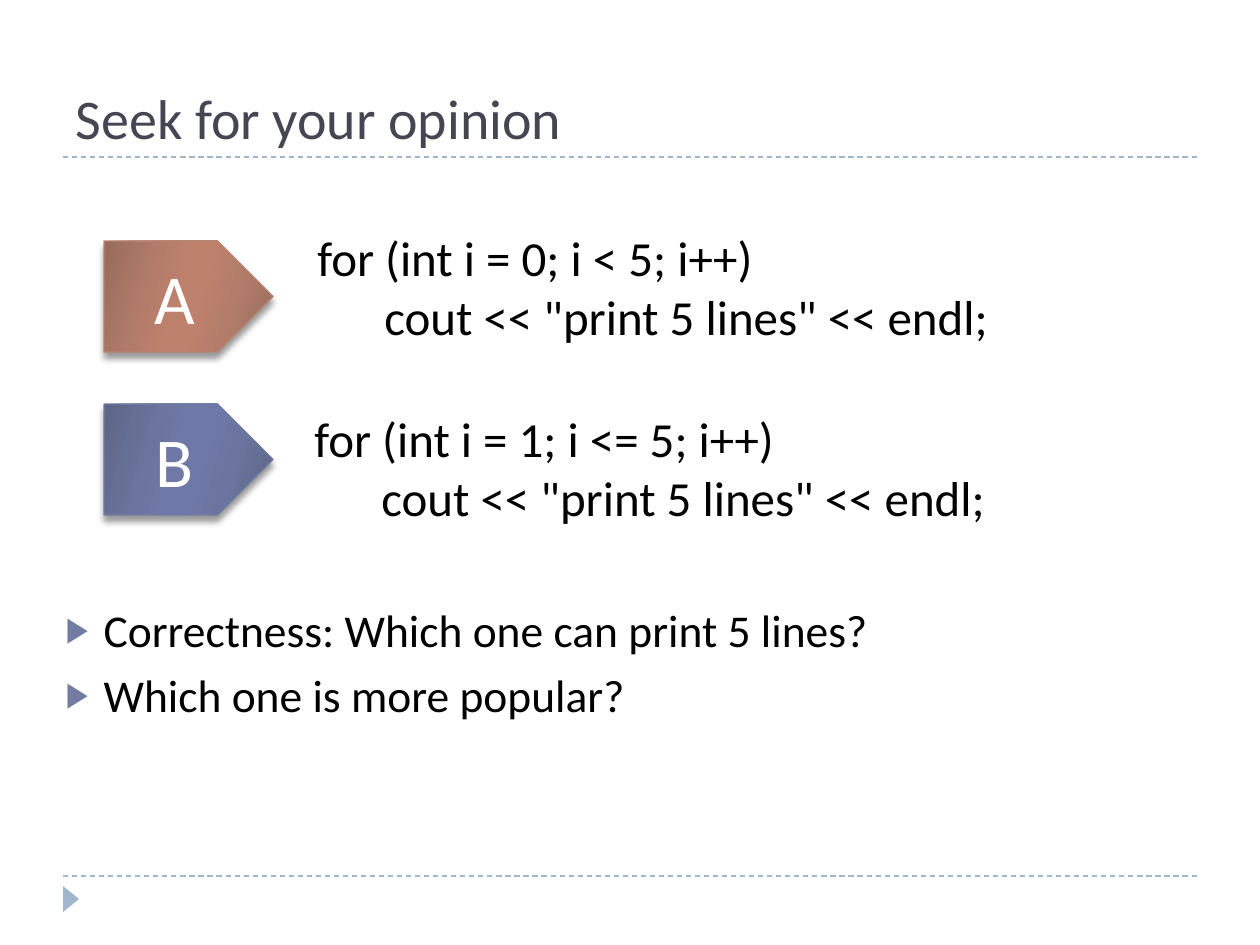
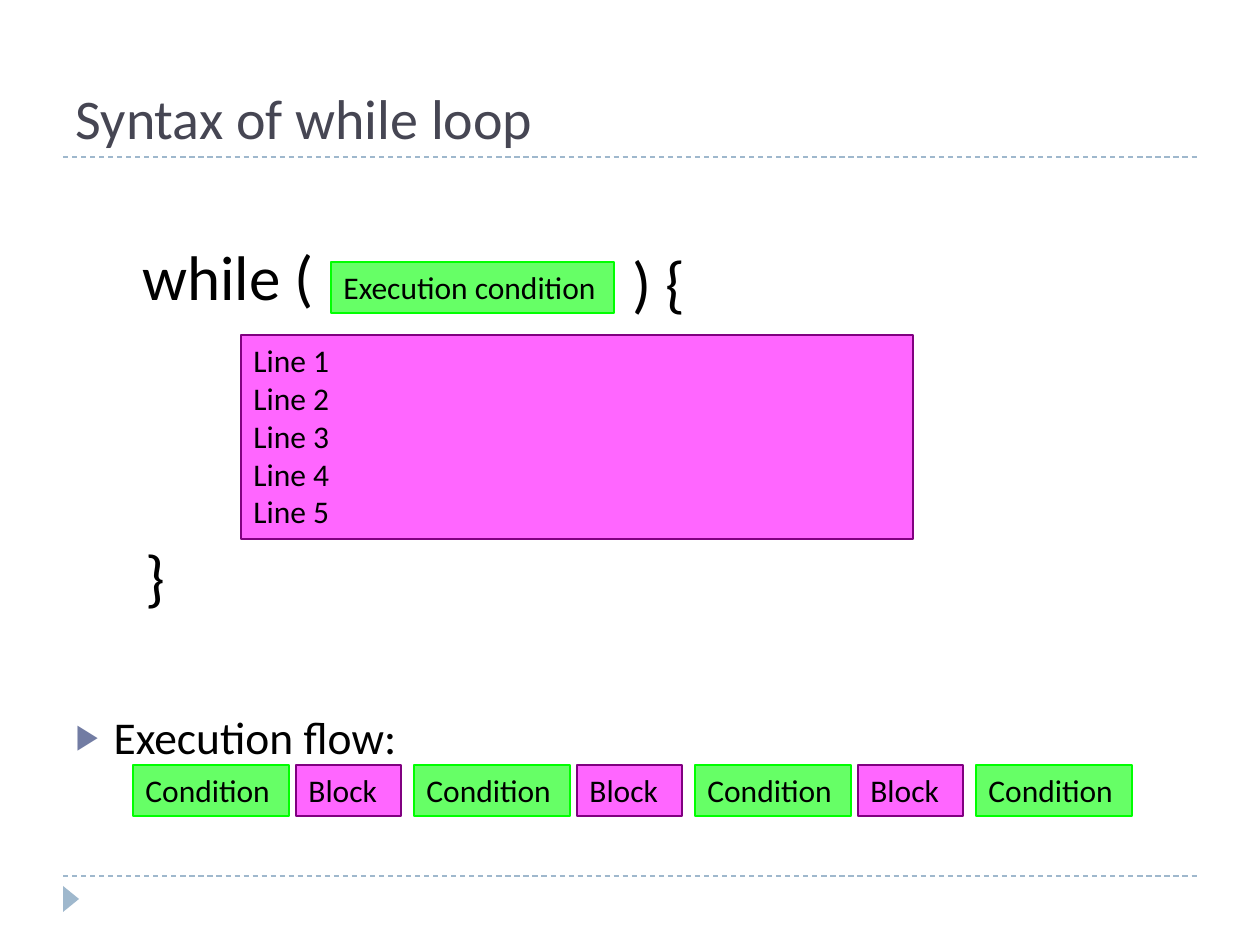
from lxml import etree
from pptx import Presentation
from pptx.dml.color import RGBColor
from pptx.enum.dml import MSO_LINE
from pptx.enum.shapes import MSO_CONNECTOR, MSO_SHAPE
from pptx.enum.text import MSO_ANCHOR, MSO_AUTO_SIZE, PP_ALIGN
from pptx.oxml.ns import qn
from pptx.util import Pt

STRAIGHT = MSO_CONNECTOR.STRAIGHT
DASH = MSO_LINE.DASH
RECTANGLE, PENTAGON = MSO_SHAPE.RECTANGLE, MSO_SHAPE.PENTAGON
TRIANGLE = MSO_SHAPE.ISOSCELES_TRIANGLE
TOP, MIDDLE, BOTTOM = MSO_ANCHOR.TOP, MSO_ANCHOR.MIDDLE, MSO_ANCHOR.BOTTOM
LEFT, CENTER = PP_ALIGN.LEFT, PP_ALIGN.CENTER
NO_FIT = MSO_AUTO_SIZE.NONE

FONT = "Calibri"
BLACK = RGBColor(0x00, 0x00, 0x00)
WHITE = RGBColor(0xFF, 0xFF, 0xFF)
TITLE_GRAY = RGBColor(0x46, 0x46, 0x53)
RULE_BLUE = RGBColor(0x9F, 0xB8, 0xCD)
BULLET_BLUE = RGBColor(0x72, 0x7C, 0xA3)
CLAY_LINE = RGBColor(0xB8, 0x84, 0x72)
CLAY = (RGBColor(0x97, 0x6C, 0x5D), RGBColor(0xB3, 0x7C, 0x6A),
        RGBColor(0xBE, 0x81, 0x6C))
INDIGO = (RGBColor(0x5D, 0x65, 0x85), RGBColor(0x6B, 0x75, 0x9E),
          RGBColor(0x6E, 0x79, 0xA7))
GREEN = RGBColor(0x66, 0xFF, 0x66)
GREEN_LINE = RGBColor(0x00, 0xFF, 0x00)
PINK = RGBColor(0xFF, 0x66, 0xFF)
PURPLE_LINE = RGBColor(0x80, 0x00, 0x80)
CONDITION_STYLE = (GREEN, GREEN_LINE)
BLOCK_STYLE = (PINK, PURPLE_LINE)

# Edge, inner and centre tone of a mirrored gradient, by position in percent
GRADIENT_STOPS = ((0, 0), (30, 1), (45, 2), (55, 2), (73, 1), (100, 0))


def px(pixels):
    return round(pixels * 914400 / 126)


def box(left, top, width, height):
    return px(left), px(top), px(width), px(height)


def sub(parent, tag, **attributes):
    return etree.SubElement(parent, qn(tag), attributes)


def place(shape, left, top, width, height):
    shape.left, shape.top, shape.width, shape.height = box(left, top, width, height)


def write(shape, lines, size, color=BLACK, align=LEFT, anchor=TOP):
    """Write one paragraph per line and return the paragraphs."""
    frame = shape.text_frame
    frame.word_wrap = True
    frame.auto_size = NO_FIT
    frame.vertical_anchor = anchor
    for index, line in enumerate(lines):
        paragraph = frame.add_paragraph() if index else frame.paragraphs[0]
        paragraph.alignment = align
        run = paragraph.add_run()
        run.text = line
        run.font.name = FONT
        run.font.size = Pt(size)
        run.font.color.rgb = color
    return frame.paragraphs


def add_rule(slide, y):
    rule = slide.shapes.add_connector(STRAIGHT, px(63), px(y), px(1197), px(y))
    rule.line.color.rgb = RULE_BLUE
    rule.line.width = Pt(0.75)
    rule.line.dash_style = DASH
    sub(rule._element.spPr, "a:effectLst")


def add_base_slide(deck, title):
    """Slide with the title, the two rules and the corner marker."""
    slide = deck.slides.add_slide(deck.slide_layouts[1])
    add_rule(slide, 876)
    add_rule(slide, 157)
    marker = slide.shapes.add_shape(TRIANGLE, *box(58, 891, 26, 16))
    marker.rotation = 90
    marker.shadow.inherit = False
    marker.fill.solid()
    marker.fill.fore_color.rgb = RULE_BLUE
    marker.line.fill.background()
    place(slide.shapes.title, 63, 21, 1134, 136)
    write(slide.shapes.title, [title], 32, TITLE_GRAY, anchor=BOTTOM)
    return slide


def fill_list(slide, area, items):
    body = slide.placeholders[1]
    place(body, *area)
    for paragraph in write(body, items, 26):
        paragraph.space_before = Pt(6)
        properties = paragraph._p.get_or_add_pPr()
        properties.set("marL", str(px(38)))
        properties.set("indent", str(px(-38)))
        bullet_color = sub(properties, "a:buClr")
        sub(bullet_color, "a:srgbClr", val=str(BULLET_BLUE))
        sub(properties, "a:buSzPct", val="76000")
        sub(properties, "a:buChar", char="\u25b6")


def add_text(slide, area, lines, size):
    return write(slide.shapes.add_textbox(*box(*area)), lines, size)


def add_code(slide, area, header, statement):
    paragraphs = add_text(slide, area, [header, statement], 28)
    paragraphs[1]._p.get_or_add_pPr().set("marL", str(px(67)))


def add_option(slide, top, letter, tones, line_color):
    """Arrow-shaped option tag with a mirrored gradient and a soft shadow."""
    tag = slide.shapes.add_shape(PENTAGON, *box(104, top, 169, 111))
    tag.fill.gradient()
    tag.fill.gradient_angle = 344
    stops = tag._element.spPr.find(".//" + qn("a:gsLst"))
    for stop in list(stops):
        stops.remove(stop)
    for position, tone in GRADIENT_STOPS:
        stop = sub(stops, "a:gs", pos=str(position * 1000))
        sub(stop, "a:srgbClr", val=str(tones[tone]))
    tag.line.color.rgb = line_color
    tag.line.width = Pt(0.75)
    tag.shadow.inherit = False
    effects = tag._element.spPr.find(qn("a:effectLst"))
    shadow = sub(effects, "a:outerShdw", blurRad=str(Pt(4)), dist=str(Pt(3.4)),
                 dir="5400000", rotWithShape="0")
    shadow_color = sub(shadow, "a:srgbClr", val=str(BLACK))
    sub(shadow_color, "a:alpha", val="40000")
    write(tag, [letter], 40, WHITE, CENTER, MIDDLE)


def add_code_part(slide, area, lines, style):
    part = slide.shapes.add_shape(RECTANGLE, *box(*area))
    part.shadow.inherit = False
    part.fill.solid()
    part.fill.fore_color.rgb, part.line.color.rgb = style
    part.line.width = Pt(0.75)
    write(part, lines, 18)


def build_opinion(deck):
    slide = add_base_slide(deck, "Seek for your opinion")
    fill_list(slide, (53, 596, 1134, 202),
              ["Correctness: Which one can print 5 lines?",
               "Which one is more popular?"])
    statement = 'cout << "print 5 lines" << endl;'
    add_code(slide, (305, 221, 737, 131), "for (int i = 0; i < 5; i++)", statement)
    add_code(slide, (302, 402, 737, 131), "for (int i = 1; i <= 5; i++)", statement)
    add_option(slide, 241, "A", CLAY, CLAY_LINE)
    add_option(slide, 404, "B", INDIGO, BULLET_BLUE)


def build_while_syntax(deck):
    slide = add_base_slide(deck, "Syntax of while loop")

    # Loop skeleton
    add_text(slide, (130, 231, 202, 89), ["while ("], 36)
    add_code_part(slide, (331, 262, 283, 51), ["Execution condition"],
                  CONDITION_STYLE)
    add_text(slide, (620, 237, 86, 89), [") {"], 36)
    add_text(slide, (133, 531, 47, 89), ["}"], 36)
    add_code_part(slide, (241, 335, 672, 204),
                  [f"Line {number}" for number in range(1, 6)], BLOCK_STYLE)

    # Execution flow: the condition is tested before each block and at the end
    fill_list(slide, (63, 703, 1134, 63), ["Execution flow:"])
    rounds = 3
    for turn in range(rounds + 1):
        left = 133 + 281 * turn
        add_code_part(slide, (left, 765, 156, 51), ["Condition"], CONDITION_STYLE)
        if turn < rounds:
            add_code_part(slide, (left + 163, 765, 105, 51), ["Block"], BLOCK_STYLE)


def main():
    deck = Presentation()
    deck.slide_width, deck.slide_height = px(1260), px(945)
    build_opinion(deck)
    build_while_syntax(deck)
    deck.save("out.pptx")


main()
